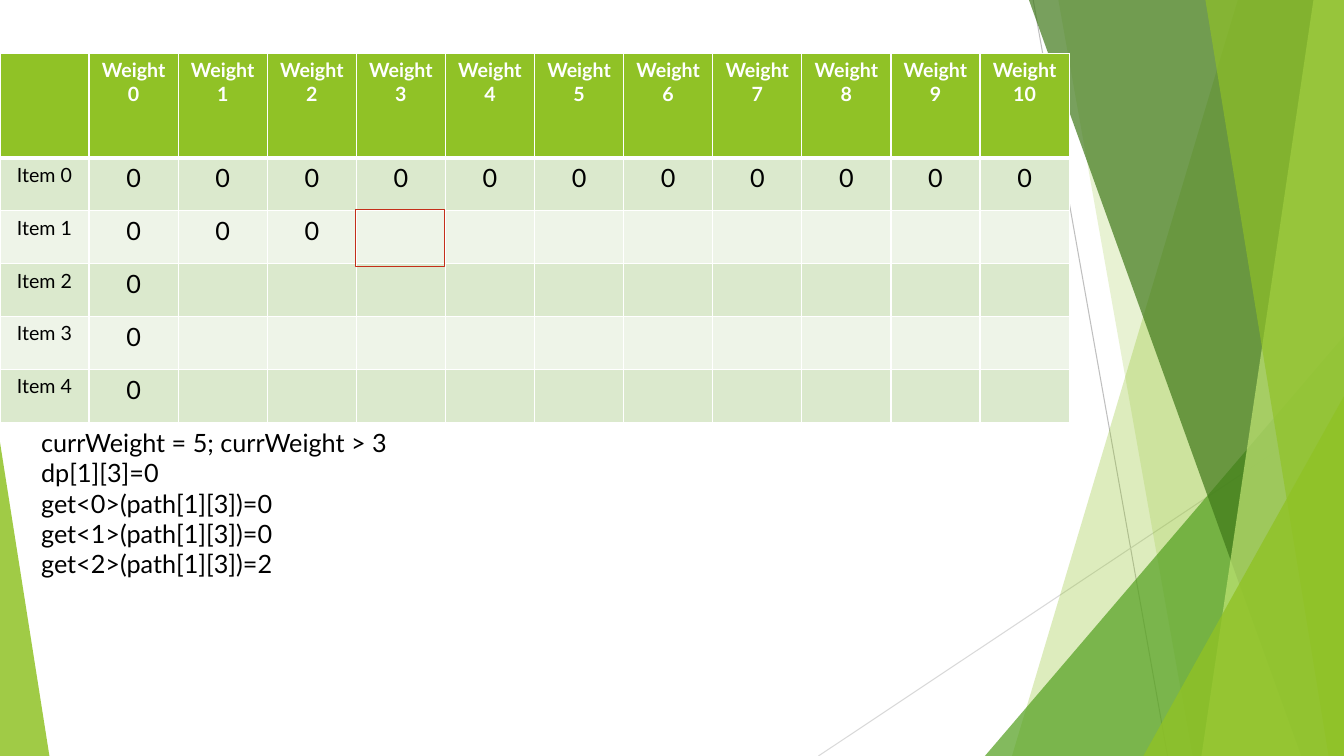
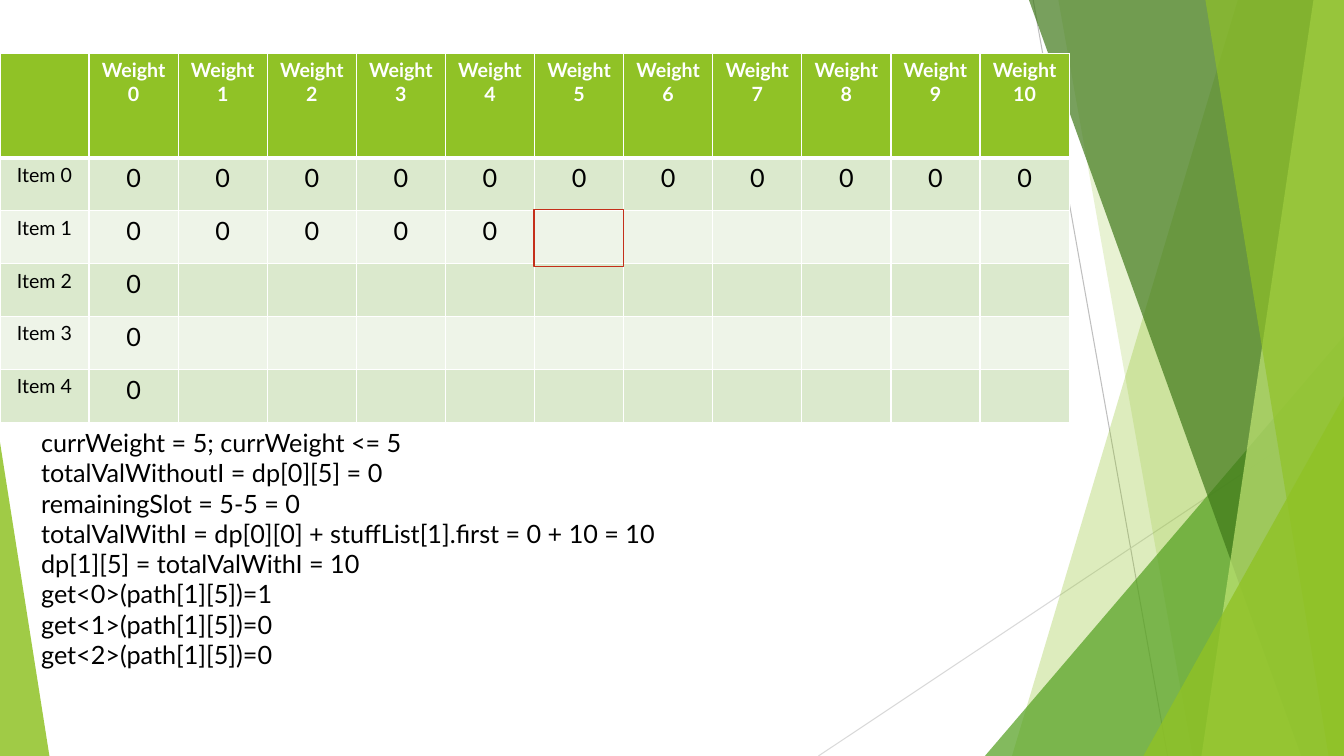
from collections import namedtuple

from lxml import etree
from pptx import Presentation
from pptx.dml.color import RGBColor
from pptx.enum import shapes, text
from pptx.oxml.ns import qn
from pptx.util import Pt

LIME = RGBColor(0x90, 0xC2, 0x26)
PALE_LIME = RGBColor(0xC0, 0xE4, 0x74)
LEAF = RGBColor(0x54, 0xA0, 0x21)
FOREST = RGBColor(0x3F, 0x78, 0x19)
ODD_ROW = RGBColor(0xDB, 0xE9, 0xCD)
EVEN_ROW = RGBColor(0xEE, 0xF4, 0xE8)
RED = RGBColor(0xC4, 0x2F, 0x1A)
GREY = RGBColor(0xBF, 0xBF, 0xBF)
LIGHT_GREY = RGBColor(0xD9, 0xD9, 0xD9)
WHITE = RGBColor(0xFF, 0xFF, 0xFF)
BLACK = RGBColor(0, 0, 0)

HEADER_FONT = {"name": "Lato", "size": Pt(14), "bold": True}
ITEM_FONT = {"name": "Lato", "size": Pt(14), "bold": False}
VALUE_FONT = {"name": "Lato", "size": Pt(18), "bold": False}

Box = namedtuple("Box", "left top width height")
PAGE = Box(0, 0, 960, 540)
GRID = Box(0, 38.2, 763.92, 263.6)
HEADER_HEIGHT = 74.6
WEIGHTS, ITEMS = 11, 5
COLUMN_WIDTH = GRID.width / (WEIGHTS + 1)
ROW_HEIGHT = (GRID.height - HEADER_HEIGHT) / ITEMS
STEP_LINE = 21.6

# Bands: top and bottom inset from the right edge. Wedges: width and height.
FACETS = [
    ("band", 75.8, 237.1, LIME, 30),
    ("band", 204, 108.2, LIME, 20),
    ("wedge", 256.5, 300, LEAF, 72),
    ("band", 225, 30.5, FOREST, 70),
    ("band", 21.8, 101.8, PALE_LIME, 70),
    ("band", 99, 11, LIME, 65),
    ("wedge", 143.3, 257, LIME, 80),
    ("left wedge", 35.3, 224, LIME, 85),
]


def style_font(font, look, colour):
    """Apply a dict of font values and a colour."""
    for key, value in look.items():
        setattr(font, key, value)
    font.color.rgb = colour


def draw_ray(slide, start, end, colour):
    """Draw one thin line behind the facets."""
    ray = slide.shapes.add_connector(
        shapes.MSO_CONNECTOR.STRAIGHT, *(Pt(v) for v in start + end))
    ray.line.color.rgb = colour
    ray.line.width = Pt(0.75)
    etree.SubElement(ray.element.spPr, qn("a:effectLst"))


def draw_band(slide, box, top_inset, bottom_inset):
    """Draw a slanted band that reaches the right edge of the box."""
    right, bottom = box.left + box.width, box.top + box.height
    outline = slide.shapes.build_freeform(
        Pt(right - top_inset), Pt(box.top), scale=1.0)
    corners = [(right, box.top), (right, bottom), (right - bottom_inset, bottom)]
    outline.add_line_segments([(Pt(x), Pt(y)) for x, y in corners], close=True)
    return outline.convert_to_shape()


def draw_wedge(slide, box, width, height, on_left):
    """Draw a right triangle in a bottom corner of the box."""
    left = box.left if on_left else box.left + box.width - width
    wedge = slide.shapes.add_shape(
        shapes.MSO_SHAPE.ISOSCELES_TRIANGLE, Pt(left),
        Pt(box.top + box.height - height), Pt(width), Pt(height))
    wedge.adjustments[0] = 0.0 if on_left else 1.0
    return wedge


def draw_facets(slide, box):
    """Draw the green facets that frame every slide."""
    right, bottom = box.left + box.width, box.top + box.height
    draw_ray(slide, (box.left + 738, box.top), (box.left + 834, bottom), GREY)
    draw_ray(slide, (right, box.top + 290), (right - 375.4, bottom), LIGHT_GREY)
    for kind, first, second, colour, opacity in FACETS:
        if kind == "band":
            facet = draw_band(slide, box, first, second)
        else:
            facet = draw_wedge(slide, box, first, second, kind == "left wedge")
        facet.shadow.inherit = False
        facet.fill.solid()
        facet.fill.fore_color.rgb = colour
        facet.line.fill.background()
        for tint in facet.element.spPr.iter(qn("a:srgbClr")):
            etree.SubElement(tint, qn("a:alpha"), val=str(opacity * 1000))


def move_to_layout(slide, layout):
    """Move the slide's shapes to its layout, so that all slides share them."""
    for shape in list(slide.shapes):
        layout.element.cSld.spTree.append(shape.element)


def rule_grid(frame):
    """Give all cells white borders, with a thick line under the header."""
    for row, tr in enumerate(frame.element.iter(qn("a:tr"))):
        widths = {"a:lnL": 1, "a:lnR": 1, "a:lnT": 3 if row == 1 else 1,
                  "a:lnB": 3 if row == 0 else 1}
        for properties in tr.iter(qn("a:tcPr")):
            for place, (side, width) in enumerate(widths.items()):
                border = etree.Element(qn(side), w=str(Pt(width)))
                fill = etree.SubElement(border, qn("a:solidFill"))
                etree.SubElement(fill, qn("a:srgbClr"), val=str(WHITE))
                properties.insert(place, border)


def fill_cell(cell, words, fill, look, colour):
    """Colour a cell and centre its words."""
    cell.fill.solid()
    cell.fill.fore_color.rgb = fill
    if words:
        paragraph = cell.text_frame.paragraphs[0]
        paragraph.alignment = text.PP_ALIGN.CENTER
        run = paragraph.add_run()
        run.text = words
        style_font(run.font, look, colour)


def add_grid(slide, box, solved):
    """Add the item by weight table; solved counts the zeros in each row."""
    frame = slide.shapes.add_table(
        ITEMS + 1, WEIGHTS + 1, *(Pt(v) for v in box))
    grid = frame.table
    for column in grid.columns:
        column.width = Pt(COLUMN_WIDTH)
    for index, row in enumerate(grid.rows):
        row.height = Pt(ROW_HEIGHT if index else HEADER_HEIGHT)

    fill_cell(grid.cell(0, 0), "", LIME, HEADER_FONT, WHITE)
    for weight in range(WEIGHTS):
        fill_cell(grid.cell(0, weight + 1), f"Weight {weight}",
                  LIME, HEADER_FONT, WHITE)
    for item, zeros in enumerate(solved):
        fill = EVEN_ROW if item % 2 else ODD_ROW
        fill_cell(grid.cell(item + 1, 0), f"Item {item}", fill, ITEM_FONT, BLACK)
        for weight in range(WEIGHTS):
            fill_cell(grid.cell(item + 1, weight + 1),
                      "0" if weight < zeros else "", fill, VALUE_FONT, BLACK)
    rule_grid(frame)


def mark_cell(slide, box, item, weight):
    """Outline the cell that is being worked out."""
    marker = slide.shapes.add_shape(
        shapes.MSO_SHAPE.RECTANGLE,
        Pt(box.left + (weight + 1) * COLUMN_WIDTH - 0.5),
        Pt(box.top + HEADER_HEIGHT + item * ROW_HEIGHT - 0.8),
        Pt(COLUMN_WIDTH), Pt(40.3))
    marker.shadow.inherit = False
    marker.fill.background()
    marker.line.color.rgb = RED
    marker.line.width = Pt(0.75)


def add_steps(slide, box, steps):
    """Write the calculation, one step a line."""
    frame = slide.shapes.add_textbox(*(Pt(v) for v in box)).text_frame
    frame.word_wrap = True
    frame.auto_size = text.MSO_AUTO_SIZE.SHAPE_TO_FIT_TEXT
    for index, step in enumerate(steps):
        line = frame.add_paragraph() if index else frame.paragraphs[0]
        run = line.add_run()
        run.text = step
        style_font(run.font, VALUE_FONT, BLACK)


def build_step_slide(slide, weight, steps):
    """Show the table up to one weight of item 1, and the steps below it."""
    add_grid(slide, GRID, [WEIGHTS, weight, 1, 1, 1])
    mark_cell(slide, GRID, 1, weight)
    add_steps(slide, Box(22.3, GRID.top + GRID.height, 724.3,
                         len(steps) * STEP_LINE + 7.2), steps)


WALKTHROUGH = {
    3: ["currWeight = 5; currWeight > 3",
        "dp[1][3]=0",
        "get<0>(path[1][3])=0",
        "get<1>(path[1][3])=0",
        "get<2>(path[1][3])=2"],
    5: ["currWeight = 5; currWeight <= 5",
        "totalValWithoutI = dp[0][5] = 0",
        "remainingSlot = 5-5 = 0",
        "totalValWithI = dp[0][0] + stuffList[1].first = 0 + 10 = 10",
        "dp[1][5] = totalValWithI = 10",
        "get<0>(path[1][5])=1",
        "get<1>(path[1][5])=0",
        "get<2>(path[1][5])=0"],
}

deck = Presentation()
deck.slide_width, deck.slide_height = Pt(PAGE.width), Pt(PAGE.height)
blank = deck.slide_layouts[6]
pages = [deck.slides.add_slide(blank) for _ in WALKTHROUGH]
draw_facets(pages[0], PAGE)
move_to_layout(pages[0], blank)
for page, (weight, steps) in zip(pages, WALKTHROUGH.items()):
    build_step_slide(page, weight, steps)
deck.save("out.pptx")
